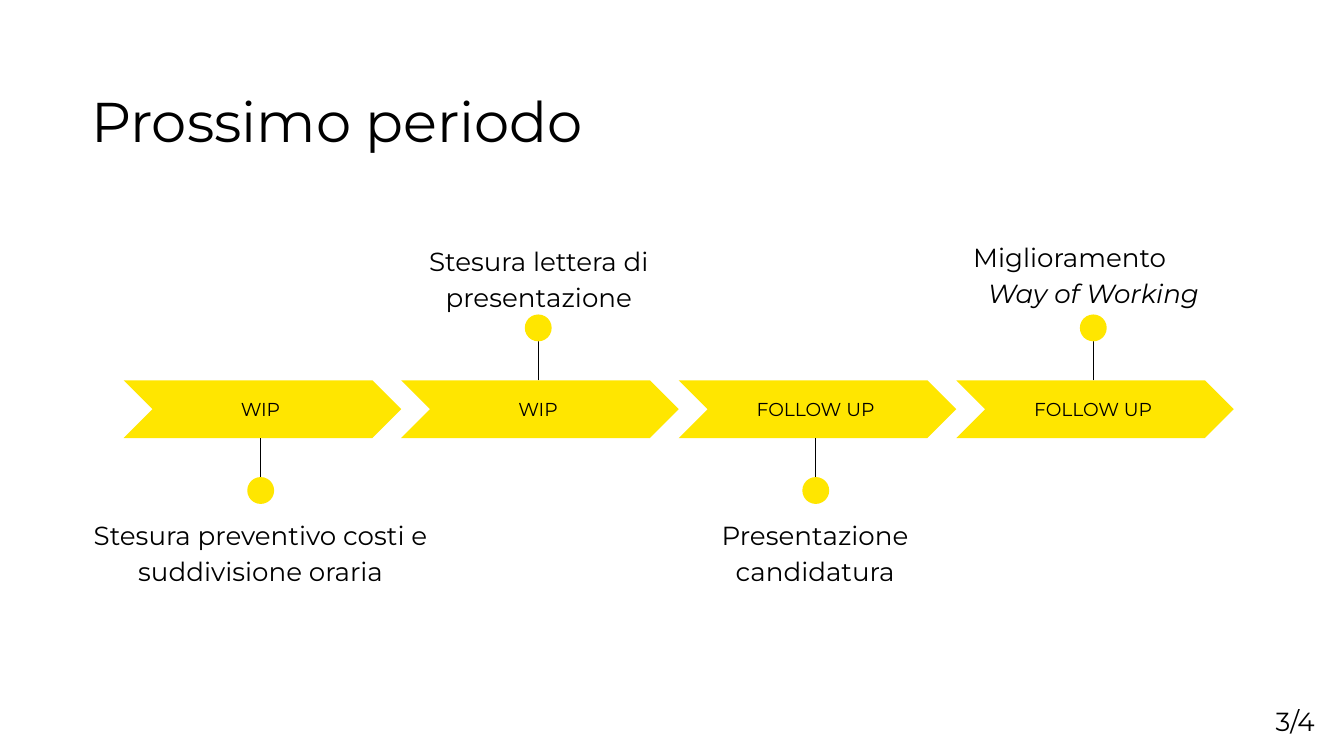
from lxml.etree import SubElement
from pptx import Presentation
from pptx.dml.color import RGBColor
from pptx.enum.shapes import MSO_CONNECTOR, MSO_SHAPE
from pptx.enum.text import MSO_ANCHOR, MSO_AUTO_SIZE, PP_ALIGN
from pptx.oxml.ns import qn
from pptx.util import Inches, Pt

FONT = "Montserrat"
BLACK = "000000"
YELLOW = "FFE600"

TITLE = "Prossimo periodo"
PAGE_NUMBER = "3/4"
# Stage label, caption, caption is above the arrow, caption box
STAGES = [
    ("WIP", "Stesura preventivo costi e suddivisione oraria", False, (0.58, 3.73, 2.72, 0.85)),
    ("WIP", "Stesura lettera di presentazione", True, (2.91, 1.69, 2.2, 0.68)),
    ("FOLLOW UP", "Presentazione candidatura", False, (4.84, 3.73, 2.45, 0.68)),
    ("FOLLOW UP", "Miglioramento\vWay of Working", True, (6.91, 1.66, 2.45, 0.68)),
]

ARROWS_LEFT, ARROWS_TOP = 0.92, 2.83
ARROWS_WIDTH, ARROW_HEIGHT = 8.26, 0.43
PIN_OFFSET, PIN_LENGTH, DOT_SIZE = 1.02, 0.29, 0.2


def color(hex_code):
    return RGBColor.from_string(hex_code)


def place(shape, left, top, width, height):
    shape.left, shape.top = Inches(left), Inches(top)
    shape.width, shape.height = Inches(width), Inches(height)


def write(shape, text, size, align, anchor=MSO_ANCHOR.TOP, line_spacing=1.0, margin=0.1):
    """Set one formatted paragraph and return it."""
    frame = shape.text_frame
    frame.text = text
    frame.word_wrap = True
    frame.auto_size = MSO_AUTO_SIZE.NONE
    frame.vertical_anchor = anchor
    frame.margin_left = frame.margin_right = Inches(margin)
    frame.margin_top = frame.margin_bottom = Inches(margin)
    para = frame.paragraphs[0]
    para.alignment = align
    para.line_spacing = line_spacing
    para.space_before = para.space_after = Pt(0)
    for span in para.runs:
        span.font.name = FONT
        span.font.size = Pt(size)
        span.font.bold = False
        span.font.color.rgb = color(BLACK)
    return para


def set_indent(para, left=0, first_line=0):
    """Remove the bullet and set the left and first-line indents."""
    properties = para._p.get_or_add_pPr()
    properties.set("marL", str(Inches(left)))
    properties.set("indent", str(Inches(first_line)))
    SubElement(properties, qn("a:buNone"))


def add_yellow_shape(slide, kind, left, top, width, height):
    shape = slide.shapes.add_shape(kind, Inches(left), Inches(top), Inches(width), Inches(height))
    shape.shadow.inherit = False
    shape.fill.solid()
    shape.fill.fore_color.rgb = color(YELLOW)
    shape.line.fill.background()
    return shape


def add_pin(slide, center, above):
    """Draw the line and dot that tie an arrow to its caption."""
    if above:
        start, end = ARROWS_TOP, ARROWS_TOP - PIN_LENGTH
        dot_top = end - DOT_SIZE
    else:
        start = ARROWS_TOP + ARROW_HEIGHT
        end = dot_top = start + PIN_LENGTH
    line = slide.shapes.add_connector(
        MSO_CONNECTOR.STRAIGHT, Inches(center), Inches(start), Inches(center), Inches(end))
    line.line.color.rgb = color(BLACK)
    line.line.width = Pt(0.75)
    SubElement(line._element.spPr, qn("a:effectLst"))
    add_yellow_shape(slide, MSO_SHAPE.OVAL, center - DOT_SIZE / 2, dot_top, DOT_SIZE, DOT_SIZE)


def main():
    deck = Presentation()
    deck.slide_width = Inches(10)
    deck.slide_height = deck.slide_width * 9 // 16
    slide = deck.slides.add_slide(deck.slide_layouts.get_by_name("Comparison"))
    title, *captions = slide.placeholders

    place(title, 0.58, 0.17, 4.42, 1.44)
    write(title, TITLE, 30, PP_ALIGN.LEFT, MSO_ANCHOR.MIDDLE)

    step = ARROWS_WIDTH / len(STAGES)
    for index, (label, caption, above, caption_box) in enumerate(STAGES):
        left = ARROWS_LEFT + index * step
        arrow = add_yellow_shape(slide, MSO_SHAPE.CHEVRON, left, ARROWS_TOP, step, ARROW_HEIGHT)
        write(arrow, label, 10, PP_ALIGN.CENTER, MSO_ANCHOR.MIDDLE, margin=0)
        arrow.text_frame.margin_right = Inches(0.03)
        add_pin(slide, left + PIN_OFFSET, above)

        place(captions[index], *caption_box)
        para = write(captions[index], caption, 14, PP_ALIGN.CENTER, line_spacing=1.15)
        if "\v" in caption:
            para.alignment = PP_ALIGN.LEFT
            para.runs[1].font.italic = True
            set_indent(para, 0.34, -0.11)
        else:
            set_indent(para)

    number_box = slide.shapes.add_textbox(Inches(9.16), Inches(5.15), Inches(0.72), Inches(0.35))
    write(number_box, PAGE_NUMBER, 14, PP_ALIGN.RIGHT)

    deck.save("out.pptx")


if __name__ == "__main__":
    main()
